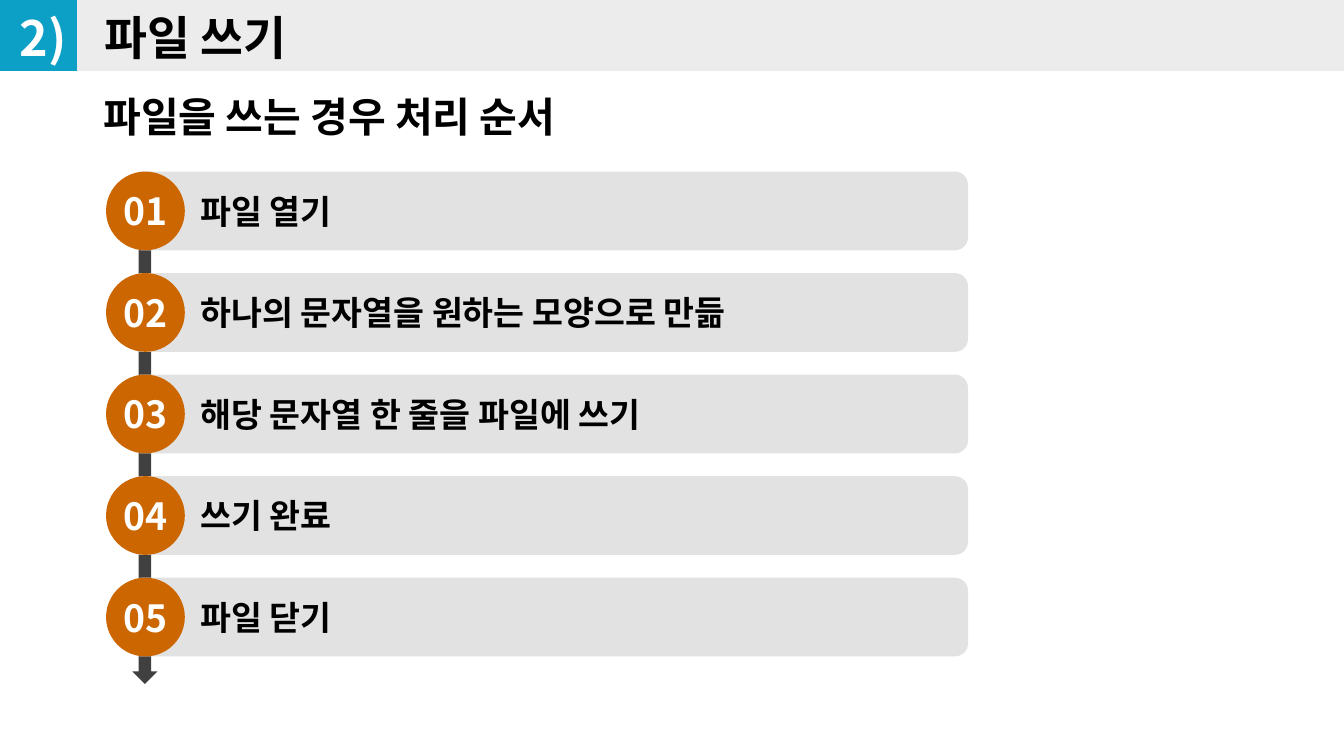
from pptx import Presentation
from pptx.dml.color import RGBColor
from pptx.enum.shapes import MSO_SHAPE as Shape
from pptx.enum.text import MSO_ANCHOR as Anchor, PP_ALIGN as Align
from pptx.oxml.ns import qn
from pptx.util import Pt
from lxml import etree

FONT = "Noto Sans CJK KR"
COLORS = {
    "band": "ECECEC",
    "blue": "0CA0C7",
    "bar": "E2E2E2",
    "badge": "CC6600",
    "arrow": "404040",
    "black": "000000",
    "white": "FFFFFF",
}

deck = Presentation()
deck.slide_width, deck.slide_height = Pt(720), Pt(405)
page = deck.slides.add_slide(deck.slide_layouts[6])


def add_block(kind, left, top, width, height, color):
    block = page.shapes.add_shape(kind, Pt(left), Pt(top), Pt(width), Pt(height))
    block.shadow.inherit = False
    block.fill.solid()
    block.fill.fore_color.rgb = RGBColor.from_string(COLORS[color])
    block.line.fill.background()
    return block


def write(box, text, size, color, align, anchor, insets, wrap=True):
    frame = box.text_frame
    frame.word_wrap = wrap
    frame.vertical_anchor = anchor
    frame.margin_left, frame.margin_top, frame.margin_right, frame.margin_bottom = map(Pt, insets)
    para = frame.paragraphs[0]
    para.alignment = align
    span = para.add_run()
    span.text = text
    span.font.size = Pt(size)
    span.font.bold = True
    span.font.color.rgb = RGBColor.from_string(COLORS[color])
    span.font.name = FONT
    # Korean glyphs take the East Asian typeface
    etree.SubElement(span.font._element, qn("a:ea"), typeface=FONT)


# Header band and number tile
add_block(Shape.RECTANGLE, 41, -0.7, 679, 38.7, "band")
add_block(Shape.RECTANGLE, -0.7, -0.7, 42, 38.7, "blue")

# Title, section number and subtitle
headings = [
    ("파일 쓰기", 46, 0, 642, 40, 25, "black", Align.LEFT),
    ("2)", -0.7, -0.7, 47.5, 41.8, 26, "white", Align.CENTER),
    ("파일을 쓰는 경우 처리 순서", 45.4, 43.9, 473, 36.7, 22, "black", Align.LEFT),
]
for text, left, top, width, height, size, color, align in headings:
    box = page.shapes.add_textbox(Pt(left), Pt(top), Pt(width), Pt(height))
    write(box, text, size, color, align, Anchor.TOP, (10, 5, 10, 5))

# Arrow running down behind the steps
add_block(Shape.DOWN_ARROW, 70.9, 134, 13.5, 232.4, "arrow")

# Numbered steps
steps = [
    "파일 열기",
    "하나의 문자열을 원하는 모양으로 만듦",
    "해당 문자열 한 줄을 파일에 쓰기",
    "쓰기 완료",
    "파일 닫기",
]
first_top, pitch, size = 91.9, 54.4, 42.2
for index, step in enumerate(steps):
    top = first_top + index * pitch
    bar = add_block(Shape.ROUNDED_RECTANGLE, 68.6, top, 450, size, "bar")
    write(bar, step, 18, "black", Align.LEFT, Anchor.MIDDLE, (36.7, 3.6, 7.2, 3.6))
    badge = add_block(Shape.OVAL, 56.8, top, size, size, "badge")
    write(badge, f"{index + 1:02}", 20, "white", Align.CENTER, Anchor.MIDDLE,
          (7.2, 3.6, 7.2, 3.6), wrap=False)

deck.save("out.pptx")
